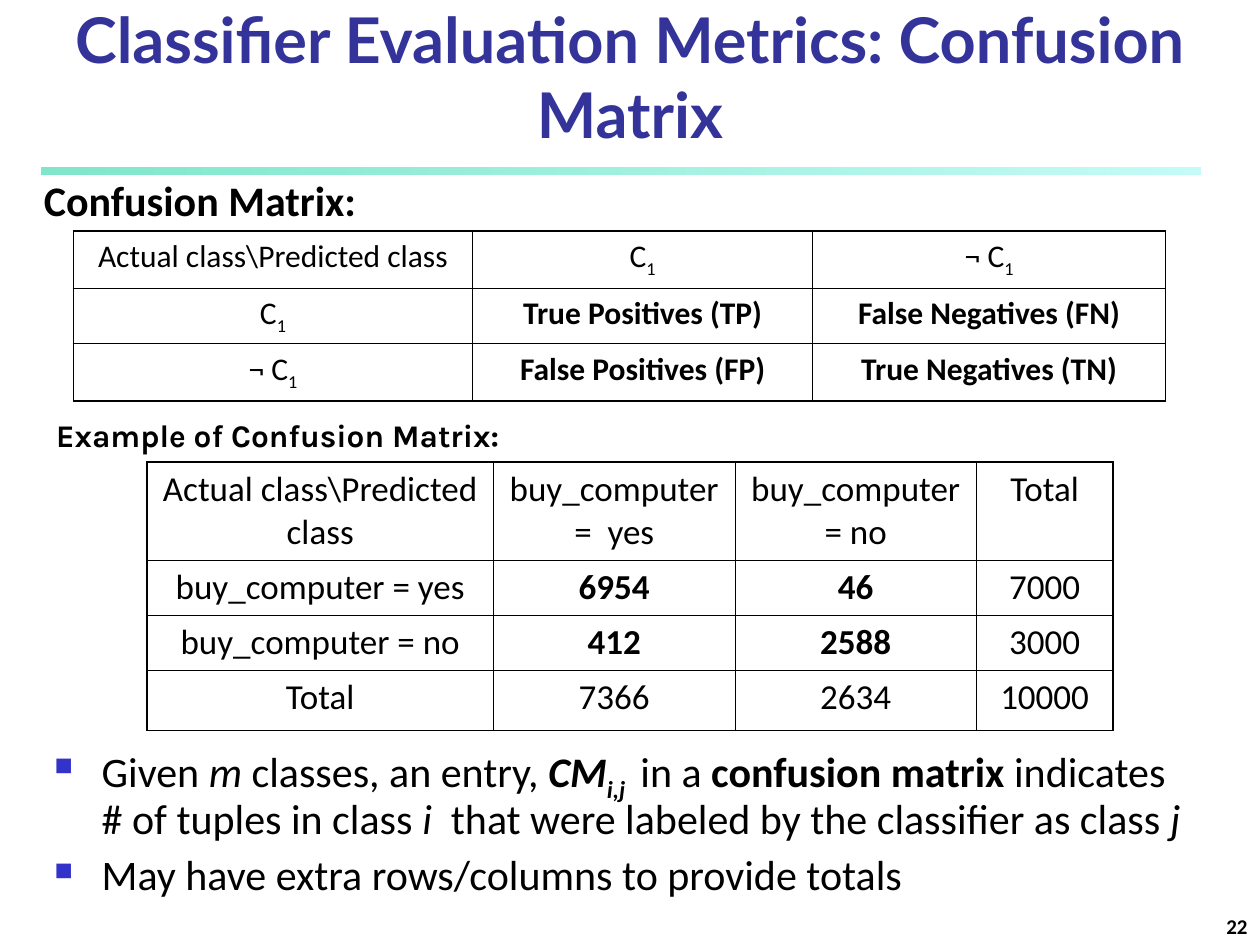
from dataclasses import dataclass

from lxml.etree import SubElement
from pptx import Presentation
from pptx.dml.color import RGBColor
from pptx.enum.shapes import MSO_SHAPE
from pptx.enum.text import MSO_ANCHOR, PP_ALIGN
from pptx.oxml.ns import qn
from pptx.util import Pt


@dataclass(frozen=True)
class Theme:
    ink: str = "000000"
    title_color: str = "333399"
    bullet_color: str = "3333CC"
    bar_stops: tuple = (("00CE98", 50), ("8FF9EF", 52))
    body_font: str = "Calibri"
    title_font: str = "Lato"
    label_font: str = "Karla"
    title_size: int = 36
    body_size: int = 24
    example_size: int = 20
    small_size: int = 18
    number_size: int = 12
    outer_line: float = 1.08
    inner_line: float = 0.45


class SlideBuilder:
    """Draws styled elements on one slide; box is left, top, width, height in points."""

    def __init__(self, slide, theme):
        self.slide = slide
        self.theme = theme

    def fill_paragraph(self, paragraph, content, size, font=None, color=None, bold=None):
        runs = [(content, "")] if isinstance(content, str) else content
        paragraph.font.size = Pt(size)
        paragraph.font.name = font or self.theme.body_font
        paragraph.font.color.rgb = RGBColor.from_string(color or self.theme.ink)
        paragraph.font.bold = bold
        for text, marks in runs:
            run = paragraph.add_run()
            run.text = text
            if "b" in marks:
                run.font.bold = True
            if "i" in marks:
                run.font.italic = True
            if "s" in marks:
                run._r.get_or_add_rPr().set("baseline", "-25000")

    def frame(self, box, anchor=MSO_ANCHOR.TOP, wrap=True):
        frame = self.slide.shapes.add_textbox(*map(Pt, box)).text_frame
        frame.word_wrap = wrap
        frame.vertical_anchor = anchor
        return frame

    def text(self, box, content, size, align=PP_ALIGN.LEFT,
             anchor=MSO_ANCHOR.TOP, wrap=True, **style):
        paragraph = self.frame(box, anchor, wrap).paragraphs[0]
        paragraph.alignment = align
        self.fill_paragraph(paragraph, content, size, bold=True, **style)

    def bar(self, box):
        shape = self.slide.shapes.add_shape(MSO_SHAPE.RECTANGLE, *map(Pt, box))
        shape.shadow.inherit = False
        shape.line.fill.background()
        shape.fill.gradient()
        shape.fill.gradient_angle = 0
        for stop, (color, _) in zip(shape.fill.gradient_stops, self.theme.bar_stops):
            stop.color.rgb = RGBColor.from_string(color)
        colors = shape._element.spPr.iter(qn("a:srgbClr"))
        for element, (_, opacity) in zip(colors, self.theme.bar_stops):
            SubElement(element, qn("a:alpha"), val=str(opacity * 1000))

    def bullets(self, box, items):
        frame = self.frame(box)
        for index, item in enumerate(items):
            paragraph = frame.add_paragraph() if index else frame.paragraphs[0]
            properties = paragraph._p.get_or_add_pPr()
            properties.set("marL", str(Pt(27)))
            properties.set("indent", str(-Pt(27)))
            bullet_color = SubElement(properties, qn("a:buClr"))
            SubElement(bullet_color, qn("a:srgbClr"), val=self.theme.bullet_color)
            SubElement(properties, qn("a:buSzPct"), val="60000")
            SubElement(properties, qn("a:buChar"), char="■")
            paragraph.line_spacing = 0.9
            paragraph.space_before = Pt(6)
            self.fill_paragraph(paragraph, item, self.theme.body_size)

    def border(self, cell, side, width):
        line = SubElement(cell._tc.get_or_add_tcPr(), qn(f"a:ln{side}"), w=str(Pt(width)))
        fill = SubElement(line, qn("a:solidFill"))
        SubElement(fill, qn("a:srgbClr"), val=self.theme.ink)

    def table(self, left, top, widths, heights, rows, size, space_before):
        box = (left, top, sum(widths), sum(heights))
        table = self.slide.shapes.add_table(len(rows), len(widths), *map(Pt, box)).table
        table.first_row = table.horz_banding = False
        for column, width in zip(table.columns, widths):
            column.width = Pt(width)
        for row, height in zip(table.rows, heights):
            row.height = Pt(height)
        last_row, last_column = len(rows) - 1, len(widths) - 1
        for r, row in enumerate(rows):
            for c, content in enumerate(row):
                cell = table.cell(r, c)
                edges = {"L": c == 0, "R": c == last_column, "T": r == 0, "B": r == last_row}
                for side, outer in edges.items():
                    width = self.theme.outer_line if outer else self.theme.inner_line
                    self.border(cell, side, width)
                cell.fill.background()
                paragraph = cell.text_frame.paragraphs[0]
                paragraph.alignment = PP_ALIGN.CENTER
                paragraph.space_before = Pt(space_before)
                self.fill_paragraph(paragraph, content, size)


def strong(text):
    return [(text, "b")]


def main():
    theme = Theme()
    presentation = Presentation()
    presentation.slide_width, presentation.slide_height = Pt(720), Pt(540)
    slide = presentation.slides.add_slide(presentation.slide_layouts[6])
    builder = SlideBuilder(slide, theme)

    builder.bar((24, 96, 662, 4))
    builder.text((0, 0, 720, 90), "Classifier Evaluation Metrics: Confusion Matrix",
                 theme.title_size, PP_ALIGN.CENTER, MSO_ANCHOR.BOTTOM,
                 font=theme.title_font, color=theme.title_color)

    builder.text((18, 96, 205, 36), "Confusion Matrix:", theme.body_size)
    positive = [("C", ""), ("1", "s")]
    negative = [("¬ C", ""), ("1", "s")]
    builder.table(42, 132, (228, 194.5, 201.5), (32.5, 32, 32.5), [
        ["Actual class\\Predicted class", positive, negative],
        [positive, strong("True Positives (TP)"), strong("False Negatives (FN)")],
        [negative, strong("False Positives (FP)"), strong("True Negatives (TN)")],
    ], theme.small_size, 4.5)

    builder.text((25, 234, 279, 29), "Example of Confusion Matrix:", theme.small_size,
                 wrap=False, font=theme.label_font)
    builder.table(84, 264, (198, 138, 138, 78), (56, 31.5, 31.5, 34.5), [
        ["Actual class\\Predicted class", "buy_computer =  yes", "buy_computer = no", "Total"],
        ["buy_computer = yes", strong("6954"), strong("46"), "7000"],
        ["buy_computer = no", strong("412"), strong("2588"), "3000"],
        ["Total", "7366", "2634", "10000"],
    ], theme.example_size, 5)

    builder.bullets((24, 423, 666, 99), [
        [("Given", ""), (" m", "i"), (" classes, an entry, ", ""), ("CM", "bi"),
         ("i,j ", "bis"), (" in a ", ""), ("confusion matrix", "b"),
         (" indicates # of tuples in class ", ""), ("i", "i"),
         ("  that were labeled by the classifier as class ", ""), ("j", "i")],
        "May have extra rows/columns to provide totals",
    ])
    builder.text((570, 510, 150, 30), "22", theme.number_size,
                 PP_ALIGN.RIGHT, MSO_ANCHOR.BOTTOM)
    presentation.save("out.pptx")


if __name__ == "__main__":
    main()
